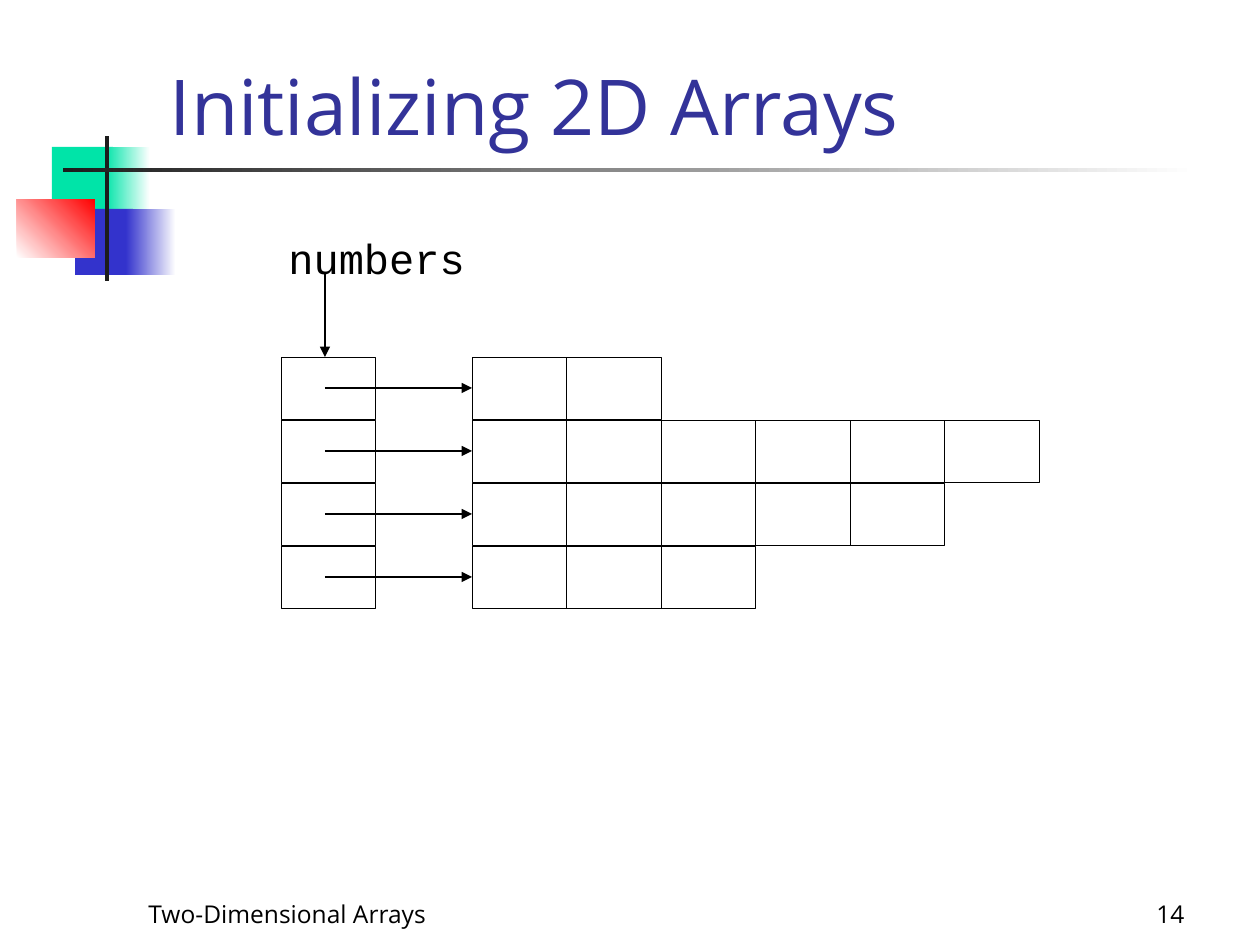
from pptx import Presentation, util as u
from pptx.dml.color import RGBColor
from pptx.enum import shapes, text
from pptx.oxml import parse_xml
from pptx.oxml.ns import nsdecls, qn

SCALE = 914400 // 126


def px(length):
    """Turn pixels into EMU."""
    return u.Emu(round(length * 914400 / 126))


def color(value):
    """Turn a hex string into a colour."""
    return RGBColor.from_string(value)


def write(frame, words, size=14, font="Open Sans", ink="000000",
          align=text.PP_ALIGN.LEFT, anchor=text.MSO_ANCHOR.BOTTOM):
    """Put one formatted run of text into a frame."""
    frame.word_wrap = True
    frame.auto_size = text.MSO_AUTO_SIZE.NONE
    frame.vertical_anchor = anchor
    paragraph = frame.paragraphs[0]
    paragraph.alignment = align
    run = paragraph.add_run()
    run.text = words
    run.font.size = u.Pt(size)
    run.font.name = font
    run.font.color.rgb = color(ink)


class Board:
    """Hold the current slide and its drawing style."""

    ink = "000000"
    cell_line = 0.5
    arrow_line = 0.75

    def __init__(self, slide):
        """Keep the slide to draw on."""
        self.slide = slide

    def title(self, words, left, top, width, height, **style):
        """Place and fill the title placeholder."""
        heading = self.slide.shapes.title
        heading.left, heading.top = px(left), px(top)
        heading.width, heading.height = px(width), px(height)
        write(heading.text_frame, words, **style)

    def label(self, words, left, top, width, height, **style):
        """Add a text box."""
        box = self.slide.shapes.add_textbox(px(left), px(top), px(width), px(height))
        write(box.text_frame, words, **style)

    def rect(self, left, top, width, height):
        """Add a plain rectangle without shadow."""
        shape = self.slide.shapes.add_shape(
            shapes.MSO_SHAPE.RECTANGLE, px(left), px(top), px(width), px(height))
        shape.shadow.inherit = False
        return shape

    def block(self, left, top, width, height, start, end=None, angle=0):
        """Add a borderless block in one colour or a gradient."""
        shape = self.rect(left, top, width, height)
        shape.line.fill.background()
        if end is None:
            shape.fill.solid()
            shape.fill.fore_color.rgb = color(start)
            return
        shape.fill.gradient()
        shape.fill.gradient_angle = angle
        for stop, shade in zip(shape.fill.gradient_stops, (start, end)):
            stop.color.rgb = color(shade)

    def cell(self, left, top, width, height):
        """Add an outlined array cell."""
        shape = self.rect(left, top, width, height)
        shape.fill.background()
        shape.line.color.rgb = color(self.ink)
        shape.line.width = u.Pt(self.cell_line)

    def arrow(self, x1, y1, x2, y2):
        """Add a straight arrow."""
        link = self.slide.shapes.add_connector(
            shapes.MSO_CONNECTOR.STRAIGHT, px(x1), px(y1), px(x2), px(y2))
        link.line.color.rgb = color(self.ink)
        link.line.width = u.Pt(self.arrow_line)
        outline = link._element.spPr.find(qn("a:ln"))
        outline.append(parse_xml(f'<a:tailEnd {nsdecls("a")} type="triangle"/>'))
        link._element.spPr.append(parse_xml(f'<a:effectLst {nsdecls("a")}/>'))


deck = Presentation()
deck.slide_width, deck.slide_height = px(1260), px(945)
board = Board(deck.slides.add_slide(deck.slide_layouts[5]))

GREEN, BLUE, RED, DARK, WHITE = "00E4A8", "3333CC", "FF0000", "1C1C1C", "FFFFFF"
board.block(52, 147, 61, 66, GREEN)
board.block(105, 147, 45, 66, GREEN, WHITE)
board.block(75, 209, 58, 66, BLUE)
board.block(126, 209, 50, 66, BLUE, WHITE)
board.block(17, 199, 78, 59, WHITE, RED, angle=45)
board.block(105, 136, 4, 145, DARK)
board.block(63, 168, 1134, 4, DARK, WHITE)

board.title("Initializing 2D Arrays", 157, 0, 1074, 157, size=44, ink="333399")
board.label("Two-Dimensional Arrays", 136, 872, 399, 63)
board.label("14", 935, 872, 262, 63, align=text.PP_ALIGN.RIGHT)

POINTERS_LEFT, ROWS_LEFT, ROWS_TOP = 281, 472, 357
CELL_WIDTH, CELL_HEIGHT = 94.5, 63
ARROW_START = 325
ROW_LENGTHS = [2, 6, 5, 3]

for row, length in enumerate(ROW_LENGTHS):
    top = ROWS_TOP + row * CELL_HEIGHT
    middle = top + CELL_HEIGHT // 2
    board.cell(POINTERS_LEFT, top, CELL_WIDTH, CELL_HEIGHT)
    for column in range(length):
        board.cell(ROWS_LEFT + column * CELL_WIDTH, top, CELL_WIDTH, CELL_HEIGHT)
    board.arrow(ARROW_START, middle, ROWS_LEFT, middle)

board.label("numbers", 276, 226, 228, 63, size=24, font="Courier New",
            anchor=text.MSO_ANCHOR.TOP)
board.arrow(ARROW_START, 273, ARROW_START, ROWS_TOP)

deck.save("out.pptx")
